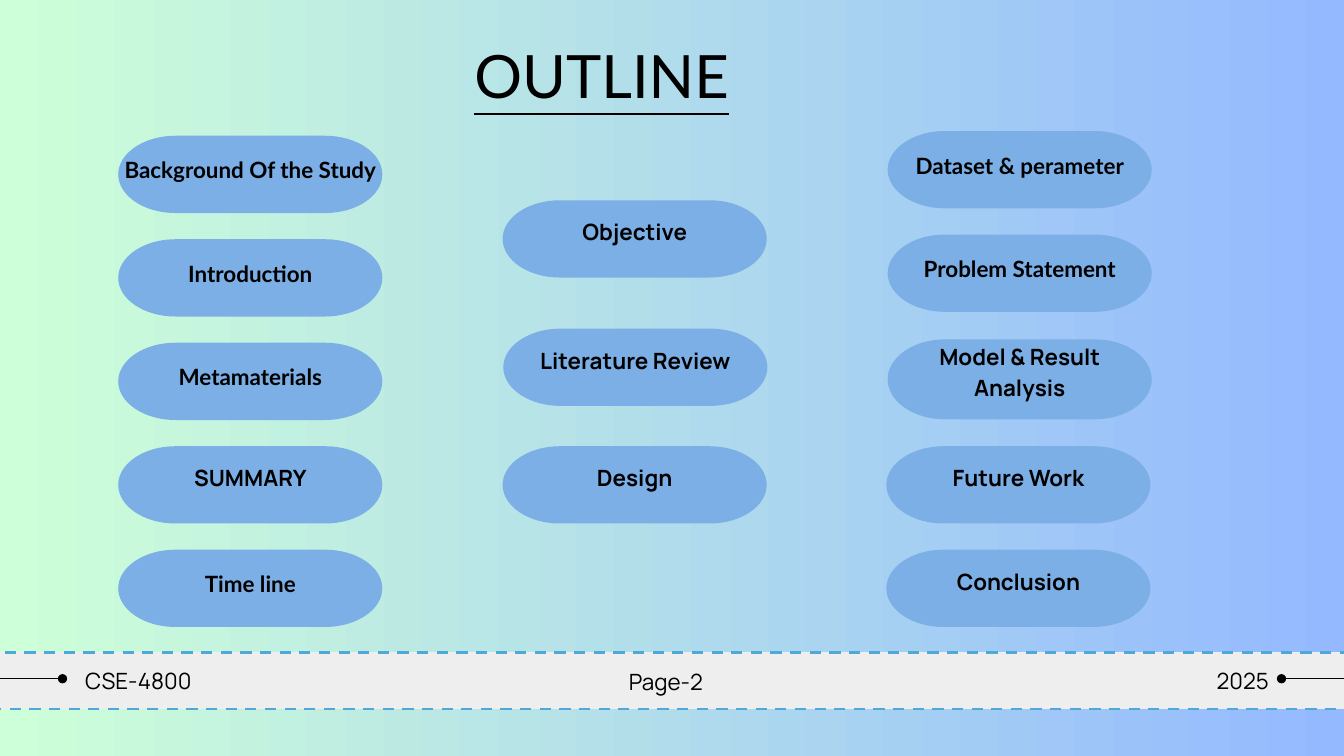
"""Build the outline slide: a title, three columns of pills and a footer band."""
from dataclasses import dataclass

from lxml import etree
from pptx import Presentation
from pptx import util as u
from pptx.dml.color import RGBColor
from pptx.enum import dml, shapes, text
from pptx.oxml import ns

WIDE, TALL, BEND, PULL = 3.93, 1.15, 0.85, 0.55
LATO, MAN = "Lato", "Manrope"


@dataclass
class Pill:
    """One topic of the outline; drop lifts its label above the pill."""
    words: str
    left: float
    top: float
    face: str = LATO
    high: float = TALL

    @property
    def drop(self) -> float:
        """Return how far the label box starts above the pill."""
        return 0.2 if self.face == LATO else 0.28


@dataclass
class Note:
    """One right-aligned footer text."""
    words: str
    left: float
    top: float
    wide: float


ROW = [round(2.02 + 1.54 * i, 2) for i in range(5)]
PILLS = [
    Pill("Background Of the Study", 1.76, ROW[0]),
    Pill("Introduction", 1.76, ROW[1]),
    Pill("Metamaterials", 1.76, ROW[2]),
    Pill("SUMMARY", 1.76, ROW[3], MAN),
    Pill("Time line", 1.76, ROW[4]),
    Pill("Objective", 7.48, 2.98, MAN),
    Pill("Literature Review", 7.49, 4.89, MAN),
    Pill("Design", 7.48, ROW[3], MAN),
    Pill("Dataset & perameter", 13.21, 1.95),
    Pill("Problem Statement", 13.21, 3.49),
    Pill("Model & Result\nAnalysis", 13.21, 5.05, MAN, 1.19),
    Pill("Future Work", 13.19, ROW[3], MAN),
    Pill("Conclusion", 13.19, ROW[4], MAN),
]
NOTES = [
    Note("CSE-4800", 1.12, 9.86, 1.73),
    Note("Page-2", 8.93, 9.88, 1.53),
    Note("2025", 17.81, 9.86, 1.07),
]


def tone(code: str) -> RGBColor:
    """Turn a hex string into a colour."""
    return RGBColor.from_string(code)


def put(item, **vals) -> None:
    """Set each named attribute of an object."""
    for key, val in vals.items():
        setattr(item, key, val)


def place(item, left: float, top: float, wide: float, high: float) -> None:
    """Move and size a shape in inches."""
    put(item, left=u.Inches(left), top=u.Inches(top),
        width=u.Inches(wide), height=u.Inches(high))


def outline(tree, dots: list, code: str):
    """Draw a closed, filled freeform through points in inches."""
    first, *rest = [(u.Inches(x), u.Inches(y)) for x, y in dots]
    pen = tree.build_freeform(*first)
    pen.add_line_segments(rest, close=True)
    form = pen.convert_to_shape()
    form.shadow.inherit = False
    form.fill.solid()
    form.fill.fore_color.rgb = tone(code)
    return form


def curve(form, starts: tuple) -> None:
    """Merge three segments into one Bezier curve at each start index."""
    lines = list(form._element.iter(ns.qn("a:lnTo")))
    for start in starts:
        bend = etree.Element(ns.qn("a:cubicBezTo"))
        lines[start].addprevious(bend)
        for line in lines[start:start + 3]:
            bend.append(line[0])
            line.getparent().remove(line)


def write(item, words: str, align, lead: float, inset: float, frame: dict, **font) -> None:
    """Write formatted paragraphs into a shape."""
    body = item.text_frame
    edge = u.Inches(inset)
    put(body, text=words, word_wrap=True, margin_left=edge, margin_top=edge,
        margin_right=edge, margin_bottom=edge, **frame)
    for para in body.paragraphs:
        put(para, alignment=align, line_spacing=u.Pt(lead))
        for run in para.runs:
            put(run.font, **font)
            run.font.color.rgb = tone("000000")


def add_box(tree, left: float, top: float, wide: float, high: float):
    """Add an empty text box."""
    return tree.add_textbox(*map(u.Inches, (left, top, wide, high)))


def add_pill(slide, pill: Pill) -> None:
    """Draw a grouped pill with elliptic ends and its label."""
    tree = slide.shapes.add_group_shape().shapes
    half = pill.high / 2
    left, right = pill.left, pill.left + WIDE
    top, mid, low = pill.top, pill.top + half, pill.top + pill.high
    near, far = left + BEND, right - BEND
    dx, dy = BEND * PULL, half * PULL
    form = outline(tree, [
        (far, top),
        (far + dx, top), (right, mid - dy), (right, mid),
        (right, mid + dy), (far + dx, low), (far, low),
        (near, low),
        (near - dx, low), (left, mid + dy), (left, mid),
        (left, mid - dy), (near - dx, top), (near, top),
    ], "7BAFE6")
    curve(form, (0, 3, 7, 10))
    form.line.fill.background()
    box = add_box(tree, left, top - pill.drop, WIDE, pill.high + pill.drop)
    write(box, pill.words, text.PP_ALIGN.CENTER, 33.6, 0.06,
          {"vertical_anchor": text.MSO_ANCHOR.MIDDLE},
          name=pill.face, size=u.Pt(24), bold=True)


def add_band(slide) -> None:
    """Draw the dashed footer band with its two dotted lines."""
    band = outline(slide.shapes, [(-0.22, 9.71), (20.22, 9.71),
                                  (20.22, 10.55), (-0.22, 10.55)], "EEEEEE")
    put(band.line, width=u.Pt(3), dash_style=dml.MSO_LINE.DASH)
    band.line.color.rgb = tone("4EA8D8")
    for start in (-0.22, 19.07):
        rule = slide.shapes.add_connector(
            shapes.MSO_CONNECTOR.STRAIGHT,
            *map(u.Inches, (start, 10.1, start + 1.15, 10.1)))
        rule.line.width = u.Pt(1.5)
        rule.line.color.rgb = tone("000000")
        props = rule._element.spPr
        for tag in ("a:headEnd", "a:tailEnd"):
            etree.SubElement(props.find(ns.qn("a:ln")), ns.qn(tag),
                             type="oval", w="lg", len="lg")
        etree.SubElement(props, ns.qn("a:effectLst"))


def main() -> None:
    """Build and save the slide."""
    deck = Presentation()
    put(deck, slide_width=u.Inches(20), slide_height=u.Inches(11.25))
    slide = deck.slides.add_slide(deck.slide_layouts[5])
    back = slide.background.fill
    back.gradient()
    back.gradient_angle = 0
    for stop, code in zip(back.gradient_stops, ("CDFFD8", "94B9FF")):
        stop.color.rgb = tone(code)
    add_band(slide)
    grow = {"auto_size": text.MSO_AUTO_SIZE.SHAPE_TO_FIT_TEXT,
            "vertical_anchor": text.MSO_ANCHOR.TOP}
    title = slide.shapes.title
    place(title, 7.06, 0.58, 6.13, 1.07)
    write(title, "OUTLINE", text.PP_ALIGN.LEFT, 76.8, 0, grow,
          name=LATO, size=u.Pt(64), underline=True)
    for pill in PILLS:
        add_pill(slide, pill)
    for note in NOTES:
        box = add_box(slide.shapes, note.left, note.top, note.wide, 0.46)
        write(box, note.words, text.PP_ALIGN.RIGHT, 33.6, 0, grow,
              name=MAN, size=u.Pt(24))
    deck.save("out.pptx")


if __name__ == "__main__":
    main()
